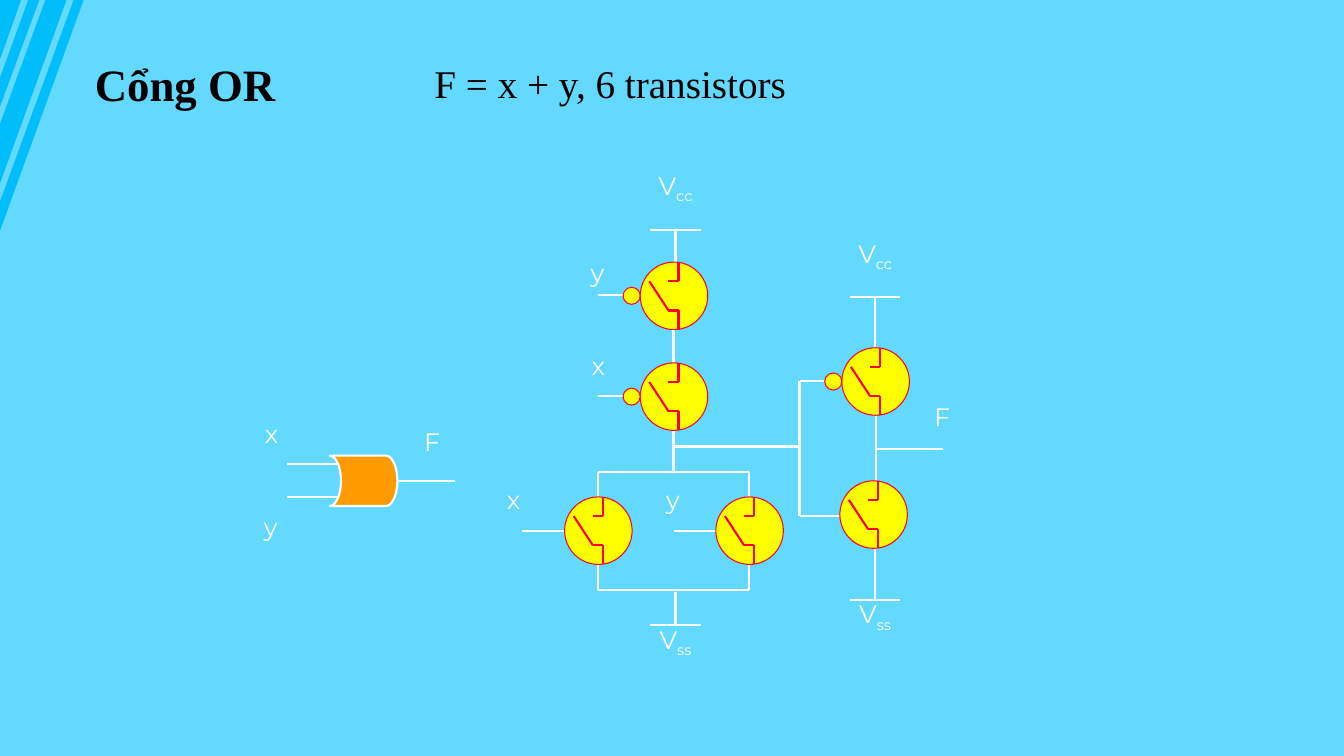
from typing import NamedTuple

from lxml import etree
from pptx import Presentation
from pptx.dml.color import RGBColor
from pptx.enum.shapes import MSO_CONNECTOR, MSO_SHAPE
from pptx.enum.text import MSO_ANCHOR, MSO_AUTO_SIZE, PP_ALIGN
from pptx.oxml.ns import qn
from pptx.util import Inches, Pt

STRAIGHT = MSO_CONNECTOR.STRAIGHT
CIRCLE = MSO_SHAPE.FLOWCHART_CONNECTOR
OR_GATE = MSO_SHAPE.FLOWCHART_STORED_DATA
LEFT, CENTER = PP_ALIGN.LEFT, PP_ALIGN.CENTER
TOP, MIDDLE, BOTTOM = MSO_ANCHOR.TOP, MSO_ANCHOR.MIDDLE, MSO_ANCHOR.BOTTOM
GROW = MSO_AUTO_SIZE.SHAPE_TO_FIT_TEXT

SKY, STRIPE = "64D9FF", "00BDFB"
WHITE, BLACK = "FFFFFF", "000000"
YELLOW, RED, ORANGE = "FFFF00", "FF0028", "FF9B00"
HEADING_FONT, LABEL_FONT = "Times New Roman", "Montserrat"
DIAMETER, BUBBLE = 0.67, 0.17


class Wire(NamedTuple):
    x1: float
    y1: float
    x2: float
    y2: float


class Transistor(NamedTuple):
    left: float
    top: float
    inverted: bool


class Label(NamedTuple):
    left: float
    top: float
    width: float
    text: str
    subscript: str = ""


STRIPES = [
    [(0.73, 0), (0.83, 0), (0, 2.29), (0, 2)],
    [(0.39, 0), (0, 1.06), (0, 0.77), (0.28, 0)],
    [(0.66, 0), (0, 1.82), (0, 1.23), (0.45, 0)],
    [(0, 0), (0.21, 0), (0, 0.59)],
]

WIRES = [
    # Gate symbol
    Wire(2.85, 4.6, 3.35, 4.6), Wire(2.85, 4.93, 3.35, 4.93),
    Wire(3.93, 4.77, 4.51, 4.77),
    # Supply and pull-up branch
    Wire(6.45, 2.28, 6.95, 2.28), Wire(6.7, 2.28, 6.7, 2.62),
    Wire(6.68, 3.27, 6.68, 3.6), Wire(6.68, 4.27, 6.68, 4.68),
    Wire(5.93, 2.93, 6.18, 2.93), Wire(5.93, 3.93, 6.18, 3.93),
    # Pull-down branch and ground
    Wire(5.93, 4.68, 7.43, 4.68), Wire(5.93, 5.85, 7.43, 5.85),
    Wire(5.93, 4.68, 5.93, 4.93), Wire(7.43, 4.68, 7.43, 4.93),
    Wire(5.93, 5.6, 5.93, 5.85), Wire(7.43, 5.6, 7.43, 5.85),
    Wire(5.18, 5.27, 5.6, 5.27), Wire(6.68, 5.27, 7.1, 5.27),
    Wire(6.7, 5.87, 6.7, 6.2), Wire(6.45, 6.2, 6.95, 6.2),
    # Output inverter
    Wire(6.68, 4.43, 7.93, 4.43), Wire(7.93, 3.78, 7.93, 5.12),
    Wire(7.93, 3.78, 8.18, 3.78), Wire(7.93, 5.12, 8.35, 5.12),
    Wire(8.43, 2.95, 8.93, 2.95), Wire(8.68, 2.95, 8.68, 3.45),
    Wire(8.69, 4.11, 8.69, 4.78), Wire(8.68, 4.45, 9.35, 4.45),
    Wire(8.68, 5.45, 8.68, 5.95), Wire(8.43, 5.95, 8.93, 5.95),
]

# Switch strokes, measured from the corner of a transistor
SWITCH = [
    Wire(0.38, 0, 0.38, 0.19), Wire(0.38, 0.19, 0.28, 0.19),
    Wire(0.38, 0.48, 0.38, 0.67), Wire(0.38, 0.48, 0.28, 0.48),
    Wire(0.28, 0.48, 0.09, 0.19),
]

TRANSISTORS = [
    Transistor(6.35, 2.6, True), Transistor(6.35, 3.6, True),
    Transistor(5.6, 4.93, False), Transistor(7.1, 4.93, False),
    Transistor(8.35, 3.45, True), Transistor(8.33, 4.77, False),
]

LABELS = [
    Label(2.51, 4.1, 0.37, "x"), Label(2.51, 5.02, 0.35, "y"),
    Label(4.1, 4.18, 0.37, "F"),
    Label(5.75, 2.5, 0.35, "y"), Label(5.75, 3.42, 0.37, "x"),
    Label(4.91, 4.75, 0.37, "x"), Label(6.5, 4.75, 0.35, "y"),
    Label(6.39, 1.68, 0.62, "V", "cc"), Label(6.4, 6.18, 0.6, "V", "ss"),
    Label(8.37, 2.35, 0.62, "V", "cc"), Label(8.38, 5.93, 0.6, "V", "ss"),
    Label(9.16, 3.93, 0.37, "F"),
]


def paint(color_format, color: str) -> None:
    color_format.rgb = RGBColor.from_string(color)


def paint_fill(fill, color: str) -> None:
    fill.solid()
    paint(fill.fore_color, color)


def add_wire(shapes, wire: Wire, color: str, left: float = 0, top: float = 0) -> None:
    line = shapes.add_connector(
        STRAIGHT, Inches(left + wire.x1), Inches(top + wire.y1),
        Inches(left + wire.x2), Inches(top + wire.y2))
    paint(line.line.color, color)
    line.line.width = Pt(1.5)
    etree.SubElement(line._element.spPr, qn("a:effectLst"))


def add_solid(shapes, preset, left: float, top: float, width: float, height: float,
              fill: str, outline: str, weight: float):
    shape = shapes.add_shape(preset, Inches(left), Inches(top), Inches(width), Inches(height))
    shape.shadow.inherit = False
    paint_fill(shape.fill, fill)
    paint(shape.line.color, outline)
    shape.line.width = Pt(weight)
    return shape


def add_transistor(page, part: Transistor) -> None:
    shapes = page.shapes.add_group_shape().shapes
    add_solid(shapes, CIRCLE, part.left, part.top, DIAMETER, DIAMETER, YELLOW, RED, 0.75)
    for stroke in SWITCH:
        add_wire(shapes, stroke, RED, part.left, part.top)
    if part.inverted:
        add_solid(shapes, CIRCLE, part.left - BUBBLE, part.top + (DIAMETER - BUBBLE) / 2,
                  BUBBLE, BUBBLE, YELLOW, RED, 0.75)


def write(box, text: str, font: str, size: int, color: str, anchor, align,
          bold: bool = False):
    frame = box.text_frame
    frame.word_wrap = False
    frame.auto_size = GROW
    frame.vertical_anchor = anchor
    para = frame.paragraphs[0]
    para.alignment = align
    para.font.name = font
    para.font.size = Pt(size)
    para.font.bold = bold
    paint(para.font.color, color)
    para.add_run().text = text
    return para


def add_label(page, label: Label) -> None:
    box = page.shapes.add_textbox(
        Inches(label.left), Inches(label.top), Inches(label.width), Inches(0.4))
    para = write(box, label.text, LABEL_FONT, 18, WHITE, BOTTOM, CENTER)
    if label.subscript:
        span = para.add_run()
        span.text = label.subscript
        span._r.get_or_add_rPr().set("baseline", "-25000")


def add_stripes(page) -> None:
    outlines = [[(Inches(x), Inches(y)) for x, y in stripe] for stripe in STRIPES]
    builder = page.shapes.build_freeform(*outlines[0][0])
    for index, outline in enumerate(outlines):
        if index:
            builder.move_to(*outline[0])
        builder.add_line_segments(outline[1:], close=True)
    stripes = builder.convert_to_shape()
    stripes.shadow.inherit = False
    paint_fill(stripes.fill, STRIPE)
    stripes.line.fill.background()


def main() -> None:
    deck = Presentation()
    deck.slide_width, deck.slide_height = Inches(13.33), Inches(7.5)
    page = deck.slides.add_slide(deck.slide_layouts[5])
    paint_fill(page.background.fill, SKY)
    add_stripes(page)

    # Heading and formula
    title = page.shapes.title
    title.left, title.top = Inches(0.84), Inches(0.51)
    title.width, title.height = Inches(2.01), Inches(0.64)
    write(title, "Cổng OR", HEADING_FONT, 32, BLACK, MIDDLE, LEFT, bold=True)
    formula = page.shapes.add_textbox(Inches(4.21), Inches(0.54), Inches(3.73), Inches(0.57))
    write(formula, "F = x + y, 6 transistors", HEADING_FONT, 28, BLACK, TOP, LEFT)

    # Circuit
    for wire in WIRES:
        add_wire(page.shapes, wire, WHITE)
    gate = add_solid(page.shapes, OR_GATE, 3.27, 4.52, 0.67, 0.5, ORANGE, WHITE, 1.5)
    gate.rotation = 180
    for part in TRANSISTORS:
        add_transistor(page, part)
    for label in LABELS:
        add_label(page, label)

    deck.save("out.pptx")


if __name__ == "__main__":
    main()
